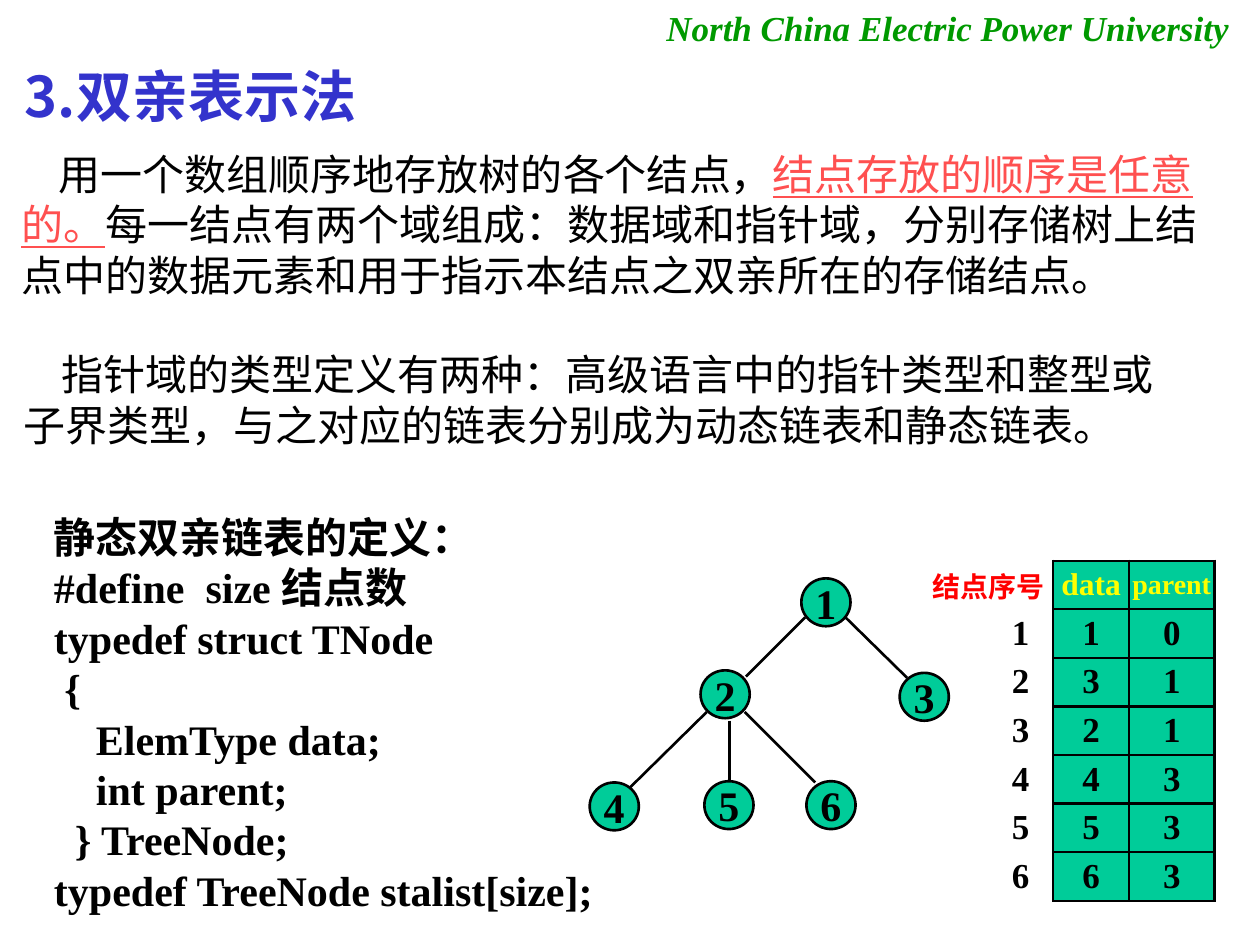
from lxml import etree
from pptx import Presentation
from pptx.dml.color import RGBColor
from pptx.enum.shapes import MSO_CONNECTOR, MSO_SHAPE
from pptx.enum.text import MSO_ANCHOR, PP_ALIGN
from pptx.oxml.ns import qn
from pptx.util import Inches, Pt

LINE, OVAL = MSO_CONNECTOR.STRAIGHT, MSO_SHAPE.OVAL
CENTER, RIGHT, MIDDLE = PP_ALIGN.CENTER, PP_ALIGN.RIGHT, MSO_ANCHOR.MIDDLE
SANS, SERIF = "Noto Sans CJK SC", "Times New Roman"
COLORS = {"black": "000000", "blue": "3333CC", "coral": "FF5050", "teal": "00CC99",
          "yellow": "FFFF00", "red": "FF0000", "green": "009900"}

INTRO = [("用一个数组顺序地存放树的各个结点，", "black"),
         ("结点存放的顺序是任意的。", "coral"),
         ("每一结点有两个域组成：数据域和指针域，分别存储树上结点中的数据元素和"
          "用于指示本结点之双亲所在的存储结点。", "black")]
TYPES = [("指针域的类型定义有两种：高级语言中的指针类型和整型或子界类型，"
          "与之对应的链表分别成为动态链表和静态链表。", "black")]
CODE = ["静态双亲链表的定义：", "#define  size 结点数", "typedef struct TNode", " {",
        "    ElemType data;", "    int parent;", "  } TreeNode;",
        "typedef TreeNode stalist[size];"]
NODES = {"1": (1.68, 0), "2": (0.88, 0.73), "3": (2.46, 0.75),
         "4": (0, 1.62), "5": (0.91, 1.61), "6": (1.72, 1.61)}
EDGES = [(1.71, 0.31, 1.24, 0.78), (2.03, 0.31, 2.52, 0.79), (0.93, 1.06, 0.32, 1.66),
         (1.11, 1.13, 1.11, 1.6), (1.23, 1.06, 1.79, 1.62)]
ROWS = [("结点序号", "data", "parent"), ("1", "1", "0"), ("2", "3", "1"), ("3", "2", "1"),
        ("4", "4", "3"), ("5", "5", "3"), ("6", "6", "3")]
HEADS = [("red", 16), ("yellow", 18), ("yellow", 16)]


def rgb(name):
    """Return a palette colour."""
    return RGBColor.from_string(COLORS[name])


def style(r, size, color, font=SERIF, bold=True):
    """Format one run, with the sans face for Chinese characters."""
    r.font.name, r.font.size, r.font.bold = font, Pt(size), bold
    r.font.color.rgb = rgb(color)
    ea = etree.SubElement(r._r.get_or_add_rPr(), qn("a:ea"))
    ea.set("typeface", SANS)


def add_box(s, x, y, w, h, wrap=False):
    """Add an empty text box and return its text frame."""
    tf = s.shapes.add_textbox(Inches(x), Inches(y), Inches(w), Inches(h)).text_frame
    tf.word_wrap = wrap
    return tf


def add_heading(s, x, y, w, h, text, size, color, font, italic=False):
    """Add a one-line bold heading."""
    p = add_box(s, x, y, w, h).paragraphs[0]
    p.text = text
    p.line_spacing = Pt(size * 1.2)
    style(p.runs[0], size, color, font)
    p.runs[0].font.italic = italic


def add_prose(s, x, y, w, h, parts):
    """Add an indented paragraph, underlining its coral parts."""
    p = add_box(s, x, y, w, h, wrap=True).paragraphs[0]
    p.line_spacing = Pt(28.8)
    p._p.get_or_add_pPr().set("indent", str(Inches(0.3)))
    for text, color in parts:
        r = p.add_run()
        r.text = text
        style(r, 24, color, SANS, bold=False)
        r.font.underline = color == "coral"


def add_code(s, x, y, w, h):
    """Add the type definition, one paragraph a line."""
    tf = add_box(s, x, y, w, h)
    tf.text = "\n".join(CODE)
    for p in tf.paragraphs:
        p.line_spacing = Pt(28.8)
        style(p.runs[0], 24, "black")


def add_tree(s, x, y):
    """Draw the tree of numbered nodes."""
    for label, (dx, dy) in NODES.items():
        sp = s.shapes.add_shape(OVAL, Inches(x + dx), Inches(y + dy), Inches(0.39), Inches(0.38))
        sp.shadow.inherit = False
        sp.fill.solid()
        sp.fill.fore_color.rgb = rgb("teal")
        sp.line.color.rgb, sp.line.width = rgb("black"), Pt(1.5)
        tf = sp.text_frame
        tf.text, tf.word_wrap, tf.vertical_anchor = label, False, MIDDLE
        p = tf.paragraphs[0]
        p.alignment = CENTER
        style(p.runs[0], 24, "black")
    for x1, y1, x2, y2 in EDGES:
        c = s.shapes.add_connector(LINE, Inches(x + x1), Inches(y + y1),
                                   Inches(x + x2), Inches(y + y2))
        c.line.color.rgb, c.line.width = rgb("black"), Pt(1.5)
        etree.SubElement(c._element.spPr, qn("a:effectLst"))


def set_borders(cell, sides):
    """Draw the named sides of a cell in black and hide the others."""
    tcPr = cell._tc.get_or_add_tcPr()
    for i, side in enumerate("LRTB"):
        ln = etree.Element(qn("a:ln" + side), w=str(Pt(1.5)))
        if side in sides:
            fill = etree.SubElement(ln, qn("a:solidFill"))
            etree.SubElement(fill, qn("a:srgbClr"), val=COLORS["black"])
        else:
            etree.SubElement(ln, qn("a:noFill"))
        tcPr.insert(i, ln)


def add_parent_table(s, x, y, w, h):
    """Add the parent table, with node numbers in an open first column."""
    table = s.shapes.add_table(len(ROWS), 3, Inches(x), Inches(y), Inches(w), Inches(h)).table
    table.first_row = table.horz_banding = False
    for col, width in zip(table.columns, (w - 1.28, 0.6, 0.68)):
        col.width = Inches(width)
    for i, values in enumerate(ROWS):
        for j, text in enumerate(values):
            cell = table.cell(i, j)
            cell.margin_left = cell.margin_top = cell.margin_bottom = 0
            cell.margin_right = Inches(0 if j else 0.19 if i else 0.07)
            cell.vertical_anchor = MIDDLE
            cell.text = text
            p = cell.text_frame.paragraphs[0]
            p.alignment = CENTER if j else RIGHT
            color, size = ("black", 20) if i else HEADS[j]
            style(p.runs[0], size, color)
            if j:
                cell.fill.solid()
                cell.fill.fore_color.rgb = rgb("teal")
            else:
                cell.fill.background()
            set_borders(cell, "LRTB" if j else "R")


def main():
    """Build and save the slide."""
    prs = Presentation()
    prs.slide_width, prs.slide_height = Inches(10), Inches(7.5)
    s = prs.slides.add_slide(prs.slide_layouts[6])
    add_heading(s, 5.19, 0, 4.67, 0.44, "North China Electric Power University",
                20, "green", SERIF, italic=True)
    add_heading(s, 0.1, 0.44, 3.66, 0.64, "3.双亲表示法", 32, "blue", SANS)
    add_prose(s, 0.07, 1.13, 9.63, 1.3, INTRO)
    add_prose(s, 0.09, 2.72, 9.4, 0.9, TYPES)
    add_code(s, 0.33, 4.01, 4.59, 3.3)
    add_tree(s, 4.68, 4.59)
    add_parent_table(s, 7.31, 4.45, 2.33, 2.7)
    prs.save("out.pptx")


if __name__ == "__main__":
    main()
